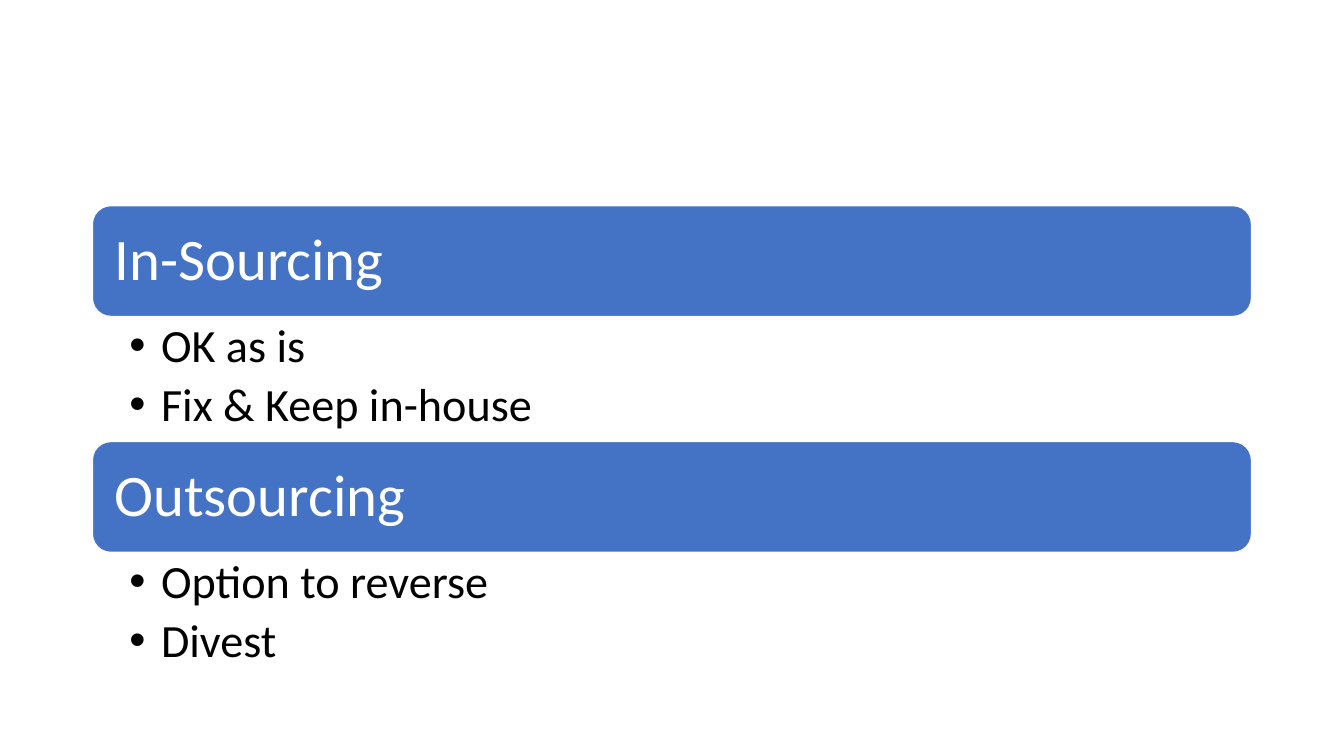
from dataclasses import dataclass

from lxml import etree
from pptx import Presentation
from pptx.dml.color import RGBColor
from pptx.enum.shapes import MSO_SHAPE
from pptx.enum.text import MSO_ANCHOR, MSO_AUTO_SIZE, PP_ALIGN
from pptx.oxml.ns import qn
from pptx.util import Pt

ROUNDED = MSO_SHAPE.ROUNDED_RECTANGLE
TOP, MIDDLE = MSO_ANCHOR.TOP, MSO_ANCHOR.MIDDLE
NO_AUTOFIT = MSO_AUTO_SIZE.NONE
LEFT_ALIGNED = PP_ALIGN.LEFT
TWO_CONTENT_LAYOUT = 3


@dataclass(frozen=True)
class Theme:
    font: str = "Calibri"
    bar: RGBColor = RGBColor(0x44, 0x72, 0xC4)
    light: RGBColor = RGBColor(0xFF, 0xFF, 0xFF)
    dark: RGBColor = RGBColor(0x00, 0x00, 0x00)
    heading_size: float = 42
    item_size: float = 33


THEME = Theme()
LEFT, FIRST_TOP, WIDTH = 66, 146.9, 828
BAR_HEIGHT, LIST_HEIGHT = 79.2, 89.3
BULLET_INDENT = 22.5
SECTIONS = [
    ("In-Sourcing", ["OK as is", "Fix & Keep in-house"]),
    ("Outsourcing", ["Option to reverse", "Divest"]),
]


def set_frame(frame, anchor, left, top, right, bottom):
    frame.word_wrap = True
    frame.auto_size = NO_AUTOFIT
    frame.vertical_anchor = anchor
    frame.margin_left, frame.margin_top = Pt(left), Pt(top)
    frame.margin_right, frame.margin_bottom = Pt(right), Pt(bottom)


def format_para(para, size, color, space_after):
    para.alignment = LEFT_ALIGNED
    para.line_spacing = 0.9
    para.space_before = Pt(0)
    para.space_after = Pt(space_after)
    for span in para.runs:
        span.font.name = THEME.font
        span.font.size = Pt(size)
        span.font.color.rgb = color


def add_bullet(para):
    properties = para._p.get_or_add_pPr()
    properties.set("marL", str(Pt(BULLET_INDENT)))
    properties.set("indent", str(-Pt(BULLET_INDENT)))
    etree.SubElement(properties, qn("a:buFont")).set("typeface", "Arial")
    etree.SubElement(properties, qn("a:buChar")).set("char", "•")


def add_heading_bar(page, heading, top):
    bar = page.shapes.add_shape(ROUNDED, Pt(LEFT), Pt(top), Pt(WIDTH), Pt(BAR_HEIGHT))
    bar.shadow.inherit = False
    bar.fill.solid()
    bar.fill.fore_color.rgb = THEME.bar
    bar.line.color.rgb = THEME.light
    bar.line.width = Pt(1)
    set_frame(bar.text_frame, MIDDLE, 12, 12, 12, 12)
    bar.text_frame.text = heading
    format_para(bar.text_frame.paragraphs[0], THEME.heading_size, THEME.light, 0)


def fill_list(box, items, top):
    box.left, box.top = Pt(LEFT), Pt(top)
    box.width, box.height = Pt(WIDTH), Pt(LIST_HEIGHT)
    set_frame(box.text_frame, TOP, 26.5, 4.2, 23.5, 4.2)
    box.text_frame.text = "\n".join(items)
    for para in box.text_frame.paragraphs:
        para.level = 1
        add_bullet(para)
        format_para(para, THEME.item_size, THEME.dark, 0.2 * THEME.item_size)


def main():
    deck = Presentation()
    deck.slide_width, deck.slide_height = Pt(960), Pt(540)
    page = deck.slides.add_slide(deck.slide_layouts[TWO_CONTENT_LAYOUT])
    title, *lists = page.placeholders
    title.element.getparent().remove(title.element)

    for index, (heading, items) in enumerate(SECTIONS):
        top = FIRST_TOP + index * (BAR_HEIGHT + LIST_HEIGHT)
        add_heading_bar(page, heading, top)
        fill_list(lists[index], items, top + BAR_HEIGHT)

    deck.save("out.pptx")


if __name__ == "__main__":
    main()
